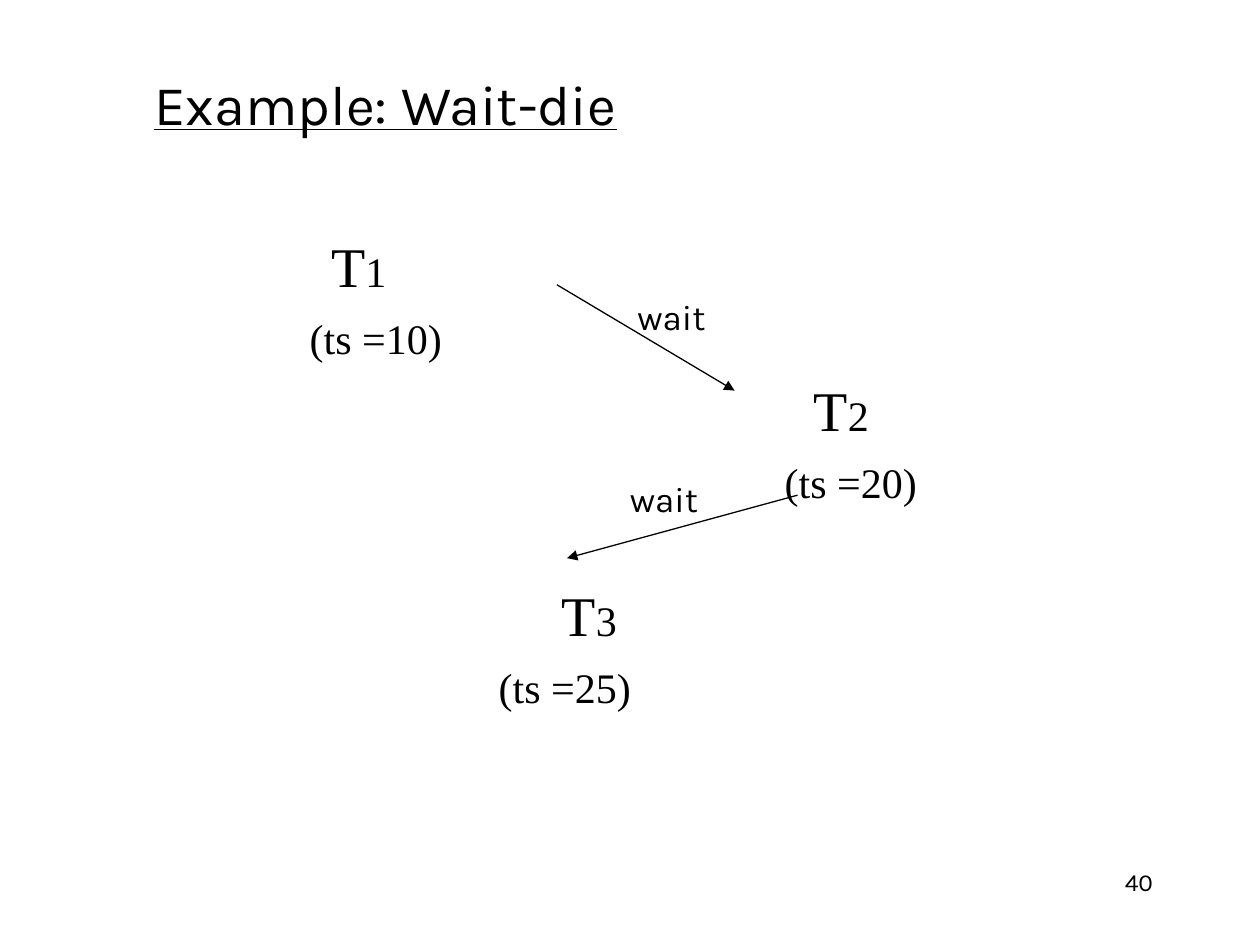
import pptx
import pptx.dml.color
import pptx.enum.shapes
import pptx.enum.text
import pptx.oxml.ns
import pptx.util
from lxml import etree

Inches, Pt = pptx.util.Inches, pptx.util.Pt
ALIGN, ANCHOR = pptx.enum.text.PP_ALIGN, pptx.enum.text.MSO_ANCHOR
COLORS = {"ink": "000000", "background": "FFFFFF"}
SANS, SERIF = "Karla", "Times New Roman"

# Content
TITLE = "Example: Wait-die"
PAGE_NUMBER = "40"
# number, timestamp, indent of the name, indent of the timestamp, space before
TRANSACTIONS = [
    ("1", "(ts =10)", 0.53, 0.36, 0),
    ("2", "(ts =20)", 4.36, 4.13, 7.5),
    ("3", "(ts =25)", 2.36, 1.86, 42.5),
]
# arrow start, arrow end, label corner
WAITS = [
    ((4.42, 2.26), (5.83, 3.1), (4.96, 2.29)),
    ((6.33, 3.93), (4.5, 4.43), (4.9, 3.74)),
]


def rgb(name):
    return pptx.dml.color.RGBColor.from_string(COLORS[name])


def set_font(font, name, size):
    font.name, font.size = name, Pt(size)
    font.color.rgb = rgb("ink")


def fill_text(shape, text, size, align, anchor, wrap):
    frame = shape.text_frame
    frame.word_wrap, frame.vertical_anchor = wrap, anchor
    frame.margin_left = frame.margin_right = Inches(0.1)
    frame.margin_top = frame.margin_bottom = Inches(0.05)
    paragraph = frame.paragraphs[0]
    paragraph.text, paragraph.alignment = text, align
    set_font(paragraph.font, SANS, size)
    return paragraph


def add_indented(frame, indent, space_before, pieces):
    first = frame.paragraphs[0]
    paragraph = frame.add_paragraph() if first.runs else first
    properties = paragraph._p.get_or_add_pPr()
    properties.set("marL", str(Inches(indent)))
    properties.set("indent", "0")
    paragraph.space_before = Pt(space_before)
    for text, size in pieces:
        run = paragraph.add_run()
        run.text = text
        set_font(run.font, SERIF, size)


def add_arrow(slide, start, end):
    arrow = slide.shapes.add_connector(
        pptx.enum.shapes.MSO_CONNECTOR.STRAIGHT,
        *[Inches(value) for value in start + end])
    arrow.line.color.rgb, arrow.line.width = rgb("ink"), Pt(0.75)
    qn = pptx.oxml.ns.qn
    etree.SubElement(arrow.line._get_or_add_ln(), qn("a:tailEnd"), type="triangle")
    etree.SubElement(arrow._element.spPr, qn("a:effectLst"))


presentation = pptx.Presentation()
presentation.slide_width, presentation.slide_height = Inches(10), Inches(7.5)
slide = presentation.slides.add_slide(presentation.slide_layouts[5])
slide.background.fill.solid()
slide.background.fill.fore_color.rgb = rgb("background")

# Title
title = slide.shapes.title
title.left, title.top = Inches(1.09), Inches(0.5)
title.width, title.height = Inches(3.94), Inches(0.64)
heading = fill_text(title, TITLE, 32, ALIGN.CENTER, ANCHOR.MIDDLE, False)
heading.font.underline = True

# Transactions with their timestamps
body = slide.shapes.add_textbox(Inches(2), Inches(1.75), Inches(6.17), Inches(4.5))
body.text_frame.word_wrap = True
body.text_frame.margin_top = Inches(0.09)
for number, timestamp, name_indent, time_indent, space in TRANSACTIONS:
    add_indented(body.text_frame, name_indent, space, [("T", 32), (number, 24)])
    add_indented(body.text_frame, time_indent, 7.5, [(timestamp, 24)])

# Waiting arrows and labels
for start, end, (left, top) in WAITS:
    add_arrow(slide, start, end)
    label = slide.shapes.add_textbox(
        Inches(left), Inches(top), Inches(0.74), Inches(0.44))
    fill_text(label, "wait", 20, ALIGN.CENTER, ANCHOR.MIDDLE, False)

# Page number
page = slide.shapes.add_textbox(Inches(7.17), Inches(6.83), Inches(2.08), Inches(0.5))
fill_text(page, PAGE_NUMBER, 14, ALIGN.RIGHT, ANCHOR.TOP, True)

presentation.save("out.pptx")
